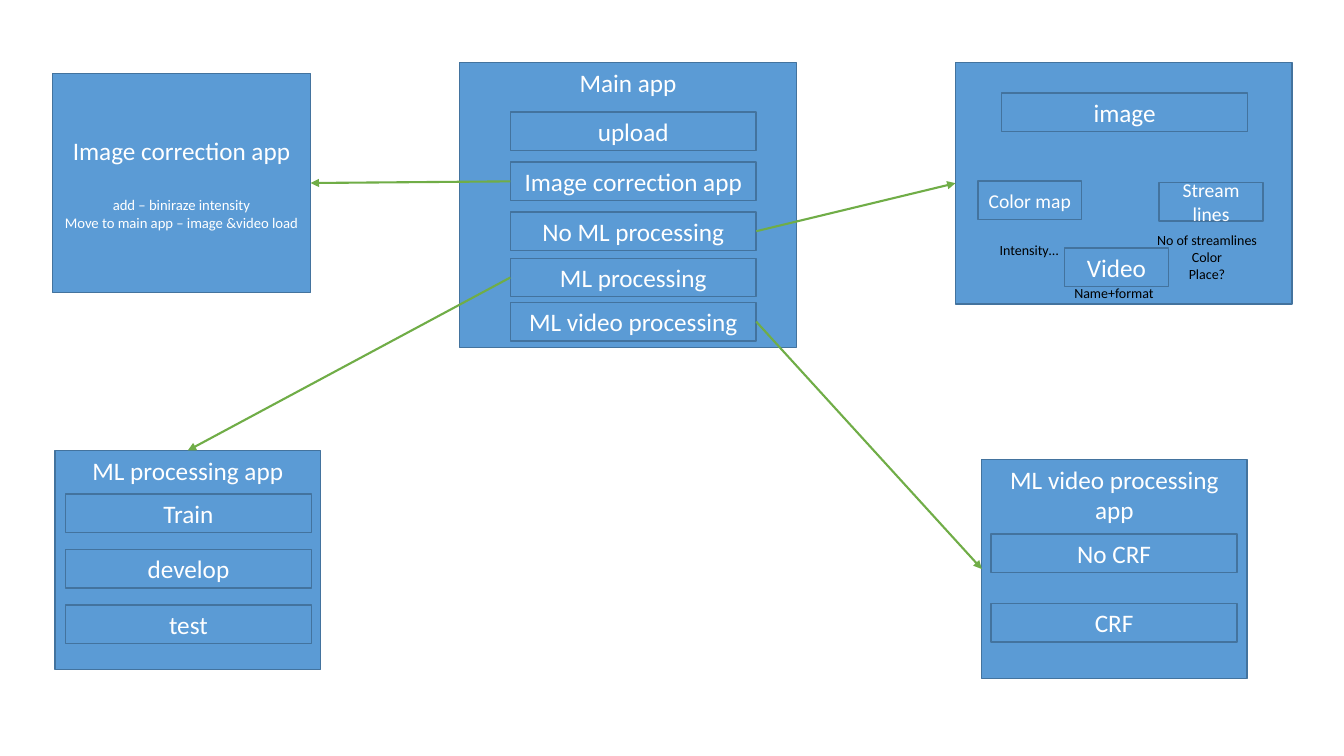
from dataclasses import dataclass

from lxml.etree import SubElement
from pptx import Presentation
from pptx.dml.color import RGBColor
from pptx.enum.shapes import MSO_CONNECTOR as CONNECTOR, MSO_SHAPE as SHAPE
from pptx.enum.text import MSO_ANCHOR as ANCHOR, PP_ALIGN as ALIGN
from pptx.oxml.ns import qn
from pptx.util import Pt


@dataclass(frozen=True)
class Theme:
    font: str = "Calibri"
    fill: RGBColor = RGBColor(0x5B, 0x9B, 0xD5)
    outline: RGBColor = RGBColor(0x43, 0x73, 0x9E)
    arrow: RGBColor = RGBColor(0x70, 0xAD, 0x47)
    light: RGBColor = RGBColor(0xFF, 0xFF, 0xFF)
    dark: RGBColor = RGBColor(0x00, 0x00, 0x00)
    heading: float = 18
    option: float = 14
    detail: float = 10.5
    label: float = 10


THEME = Theme()
BUTTON_W, OPTION_W, BUTTON_H = 175.7, 74.2, 27.5
TOP, LEFT, BOTTOM, RIGHT = range(4)


def add_line(frame, index, text, size, color, align=ALIGN.CENTER):
    paragraph = frame.paragraphs[0] if index == 0 else frame.add_paragraph()
    paragraph.alignment = align
    run = paragraph.add_run()
    run.text = text
    run.font.color.rgb = color
    for name, value in {"name": THEME.font, "size": Pt(size)}.items():
        setattr(run.font, name, value)
    return paragraph


def add_box(slide, left, top, width, height, lines=(), size=THEME.heading,
            anchor=ANCHOR.MIDDLE):
    box = slide.shapes.add_shape(SHAPE.RECTANGLE, Pt(left), Pt(top), Pt(width), Pt(height))
    box.shadow.inherit = False
    box.fill.solid()
    box.fill.fore_color.rgb = THEME.fill
    box.line.color.rgb = THEME.outline
    box.line.width = Pt(1)
    box.text_frame.vertical_anchor = anchor
    for index, text in enumerate(lines):
        add_line(box.text_frame, index, text, size, THEME.light)
    return box


def add_panel(slide, left, top, width, height, *lines):
    return add_box(slide, left, top, width, height, lines, anchor=ANCHOR.TOP)


def add_button(slide, left, top, text, width=BUTTON_W, size=THEME.heading):
    return add_box(slide, left, top, width, BUTTON_H, [text], size)


def add_label(slide, left, top, width, height, lines, align=ALIGN.LEFT):
    label = slide.shapes.add_textbox(Pt(left), Pt(top), Pt(width), Pt(height))
    label.text_frame.word_wrap = False
    for index, text in enumerate(lines):
        add_line(label.text_frame, index, text, THEME.label, THEME.dark, align)


def add_arrow(slide, source, source_side, target, target_side):
    arrow = slide.shapes.add_connector(CONNECTOR.STRAIGHT, 0, 0, 0, 0)
    arrow.begin_connect(source, source_side)
    arrow.end_connect(target, target_side)
    arrow.line.color.rgb = THEME.arrow
    arrow.line.width = Pt(1.5)
    SubElement(arrow.line._get_or_add_ln(), qn("a:tailEnd"), type="triangle")
    SubElement(arrow._element.spPr, qn("a:effectLst"))


def main():
    prs = Presentation()
    prs.slide_width, prs.slide_height = Pt(960), Pt(540)
    slide = prs.slides.add_slide(prs.slide_layouts[6])

    # Main app and its buttons
    add_panel(slide, 328.3, 44.6, 240.5, 203.8, "Main app")
    main_buttons = {
        text: add_button(slide, 364.5, top, text)
        for text, top in (("upload", 80), ("Image correction app", 115.8),
                          ("No ML processing", 151.4), ("ML processing", 184.5),
                          ("ML video processing", 216))
    }

    # Image correction app
    correction_app = add_box(slide, 37.4, 52.5, 184.5, 156.5, ["Image correction app"])
    for index, text in enumerate(("add – biniraze intensity",
                                  "Move to main app – image &video load"), 1):
        detail = add_line(correction_app.text_frame, index, text, THEME.detail, THEME.light)
        detail.space_before = Pt(22 if index == 1 else 0)

    # Image app with its options
    image_app = add_panel(slide, 682.5, 44.6, 240.5, 172.5)
    add_button(slide, 715.5, 66.5, "image")
    add_button(slide, 698.5, 129.4, "Color map", OPTION_W, THEME.option)
    add_button(slide, 828, 130.5, "Stream lines", OPTION_W, THEME.option)
    add_button(slide, 760.4, 177.3, "Video", OPTION_W)
    add_label(slide, 707, 169.2, 57.6, 19.4, ["Intensity…"])
    add_label(slide, 818.6, 162, 87.1, 43.9,
              ["No of streamlines", "Color", "Place?"], ALIGN.CENTER)
    add_label(slide, 760.3, 199.4, 72, 19.4, ["Name+format"])

    # ML processing app
    ml_app = add_panel(slide, 39.4, 321.8, 189.5, 156.5, "ML processing app")
    for row, text in enumerate(("Train", "develop", "test")):
        add_button(slide, 46.8, 352.9 + row * 39.6, text)

    # ML video processing app
    video_app = add_panel(slide, 701.3, 328.2, 189.5, 156.5, "ML video processing", "app")
    for row, text in enumerate(("No CRF", "CRF")):
        add_button(slide, 708, 381.5 + row * 49.6, text)

    # Arrows from the main buttons to the apps
    for text, side, app, app_side in (
            ("Image correction app", LEFT, correction_app, RIGHT),
            ("No ML processing", RIGHT, image_app, LEFT),
            ("ML processing", LEFT, ml_app, TOP),
            ("ML video processing", RIGHT, video_app, LEFT)):
        add_arrow(slide, main_buttons[text], side, app, app_side)

    prs.save("out.pptx")


if __name__ == "__main__":
    main()
